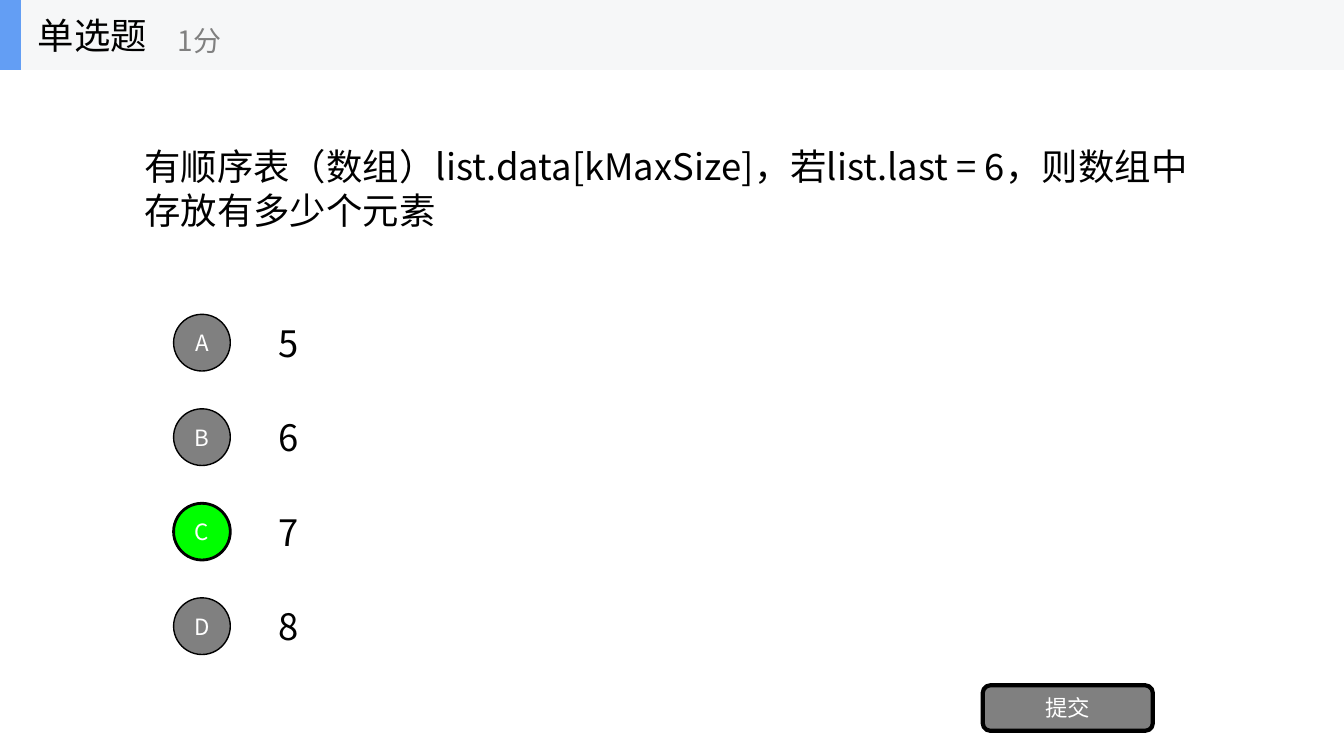
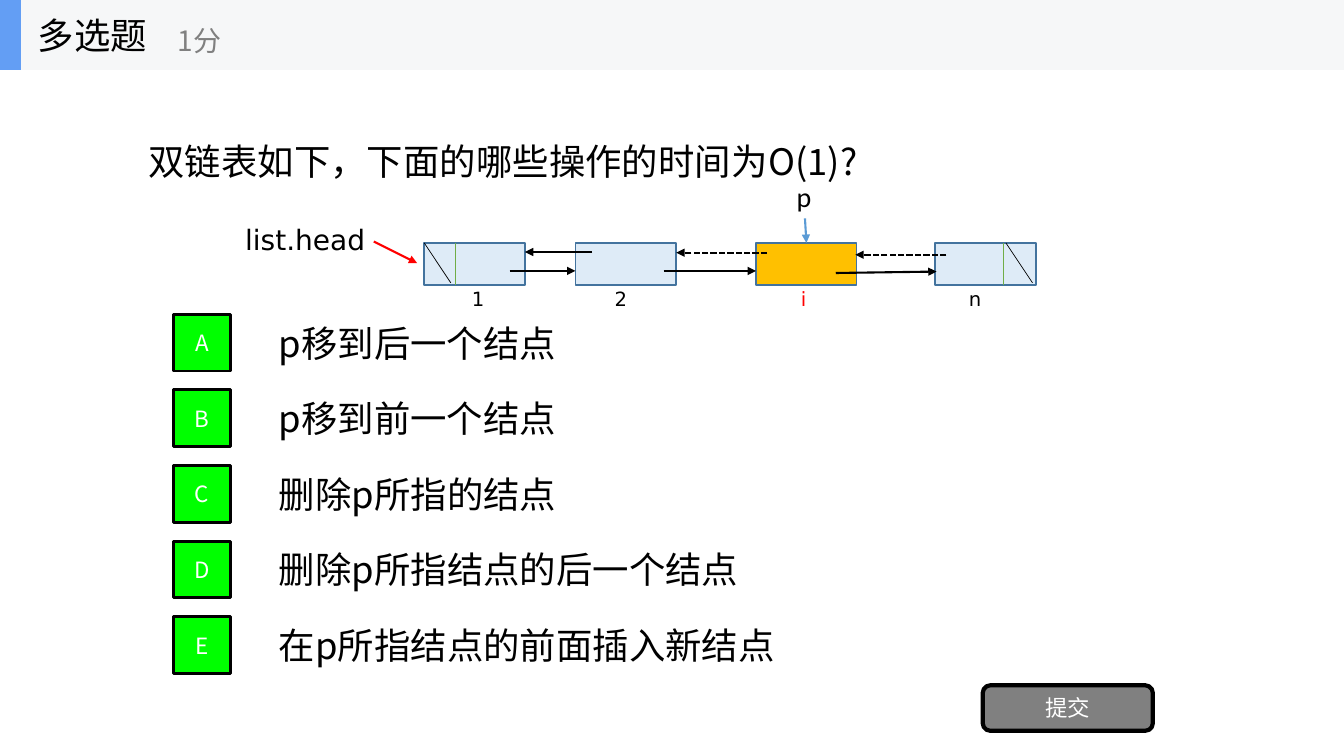
"""Build two quiz slides: a single-choice and a multiple-choice question."""
from lxml import etree
from pptx import Presentation
from pptx.dml.color import RGBColor
from pptx.enum.dml import MSO_LINE
from pptx.enum.shapes import MSO_CONNECTOR, MSO_SHAPE
from pptx.enum.text import MSO_ANCHOR, PP_ALIGN
from pptx.oxml.ns import qn
from pptx.util import Pt

RECT = MSO_SHAPE.RECTANGLE
ROUNDED = MSO_SHAPE.ROUNDED_RECTANGLE
OVAL = MSO_SHAPE.OVAL
STRAIGHT = MSO_CONNECTOR.STRAIGHT
DASHED = MSO_LINE.SQUARE_DOT
TOP, MIDDLE = MSO_ANCHOR.TOP, MSO_ANCHOR.MIDDLE
LEFT, CENTER = PP_ALIGN.LEFT, PP_ALIGN.CENTER

BLACK, WHITE, GRAY, RED = "000000", "FFFFFF", "808080", "FF0000"
CORRECT, BAND, ACCENT = "00FF00", "F6F7F8", "639EF4"
NODE, CURRENT, NODE_EDGE = "DEEBF7", "FFC000", "43739E"
DIVIDER, POINTER = "70AD47", "5B9BD5"
QUIZ_FONT, DIAGRAM_FONT, POINTER_FONT = "Noto Sans CJK SC", "DejaVu Sans", "Calibri"

SLIDE_W, SLIDE_H, BAND_H = 960, 540, 50
OPTIONS_TOP, OPTION_H, BADGE = 219.5, 50.5, 40.5
NODE_TOP, NODE_W, NODE_H = 173.5, 72, 30


def rgb(color):
    """Turn a hex string into a colour."""
    return RGBColor.from_string(color)


def write(shape, text, size, color, font=QUIZ_FONT, align=LEFT, anchor=MIDDLE):
    """Put one styled paragraph into a shape."""
    frame = shape.text_frame
    frame.word_wrap = True
    frame.vertical_anchor = anchor
    paragraph = frame.paragraphs[0]
    paragraph.text = text
    paragraph.alignment = align
    paragraph.font.size = Pt(size)
    paragraph.font.color.rgb = rgb(color)
    paragraph.font.name = font
    defaults = paragraph._p.pPr.find(qn("a:defRPr"))
    etree.SubElement(defaults, qn("a:ea"), typeface=font)


def add_text(slide, box, text, size, color=BLACK, **style):
    """Add a text box."""
    write(slide.shapes.add_textbox(*map(Pt, box)), text, size, color, **style)


def add_block(slide, kind, box, fill, edge=None, weight=1):
    """Add a filled preset shape with an optional outline."""
    block = slide.shapes.add_shape(kind, *map(Pt, box))
    block.shadow.inherit = False
    block.fill.solid()
    block.fill.fore_color.rgb = rgb(fill)
    if edge:
        block.line.color.rgb = rgb(edge)
        block.line.width = Pt(weight)
    else:
        block.line.fill.background()
    return block


def add_line(slide, start, end, color=BLACK, weight=0.5, dash=None):
    """Add a straight line without a shadow."""
    line = slide.shapes.add_connector(STRAIGHT, *map(Pt, start + end))
    line.line.color.rgb = rgb(color)
    line.line.width = Pt(weight)
    if dash:
        line.line.dash_style = dash
    etree.SubElement(line._element.spPr, qn("a:effectLst"))
    return line


def add_arrow(slide, start, end, color=BLACK, dash=None):
    """Add a line with a triangle at its end."""
    arrow = add_line(slide, start, end, color, 1.5, dash)
    etree.SubElement(arrow.line._get_or_add_ln(), qn("a:tailEnd"), type="triangle")
    return arrow


def add_header(slide, kind):
    """Add the top band with question kind and score."""
    add_block(slide, RECT, (0, 0, SLIDE_W, BAND_H), BAND)
    add_block(slide, RECT, (0, 0, 15, BAND_H), ACCENT)
    add_text(slide, (20, 0, 150, BAND_H), kind, 26)
    add_text(slide, (120, 9, 180, 40), "1分", 20, GRAY)


def add_options(slide, options, correct, badge_kind, pitch):
    """Add lettered answers, highlighting the correct ones."""
    for row, (letter, answer) in enumerate(zip("ABCDE", options)):
        top = OPTIONS_TOP + row * pitch
        add_text(slide, (192, top, 672, OPTION_H), answer, 26)
        fill, weight = (CORRECT, 2) if letter in correct else (GRAY, 1)
        badge_box = (124, top + (OPTION_H - BADGE) / 2, BADGE, BADGE)
        badge = add_block(slide, badge_kind, badge_box, fill, BLACK, weight)
        write(badge, letter, 16, WHITE, align=CENTER)


def add_question(prs, kind, question, question_box, options, correct, badge_kind, pitch):
    """Add a complete question slide."""
    slide = prs.slides.add_slide(prs.slide_layouts[6])
    add_header(slide, kind)
    add_text(slide, question_box, question, 26)
    add_options(slide, options, correct, badge_kind, pitch)
    submit = add_block(slide, ROUNDED, (702, 489.5, 121.5, 32.5), GRAY, BLACK, 3)
    write(submit, "提交", 16, WHITE, align=CENTER)
    return slide


def add_linked_list(slide):
    """Draw the doubly linked list."""
    nodes = [
        add_block(slide, RECT, (left, NODE_TOP, NODE_W, NODE_H), fill, NODE_EDGE)
        for left, fill in ((303, NODE), (411, NODE), (540, CURRENT), (668, NODE))
    ]
    for left, label, color in ((330, "1", BLACK), (432, "2", BLACK),
                               (565, "i", RED), (685, "n", BLACK)):
        add_text(slide, (left, 201.5, 42, 24.5), label, 14, color,
                 font=DIAGRAM_FONT, anchor=TOP)
    add_text(slide, (168, 155.5, 104, 31.5), "list.head", 20,
             font=DIAGRAM_FONT, anchor=TOP)
    add_text(slide, (562, 124.5, 42, 31.5), "p", 20, font=POINTER_FONT, anchor=TOP)

    for slash, divider in ((303, 325.5), (718.5, 717)):
        add_line(slide, (slash, NODE_TOP), (slash + 19, NODE_TOP + 28.5))
        add_line(slide, (divider, NODE_TOP), (divider, NODE_TOP + NODE_H), DIVIDER)

    for start, end in (((364, 193.5), (411, 193.5)),
                       ((474, 193.5), (540, 193.5)),
                       ((597, 195), (669, 194))):
        add_arrow(slide, start, end)
    for start, end, y, dash in ((423, 375, 180, None),
                                (548, 483, 180.5, DASHED),
                                (676, 611, 182, DASHED)):
        add_arrow(slide, (start, y), (end, y), dash=dash)

    add_arrow(slide, (267, 172.5), (298, 188), RED)
    pointer = add_arrow(slide, (575, 156), (576, NODE_TOP), POINTER)
    pointer.end_connect(nodes[2], 0)


def main():
    """Build and save the presentation."""
    prs = Presentation()
    prs.slide_width, prs.slide_height = Pt(SLIDE_W), Pt(SLIDE_H)
    add_question(
        prs, "单选题",
        "有顺序表（数组）list.data[kMaxSize]，若list.last = 6，则数组中存放有多少个元素",
        (96, 50, 768, 168.5), ("5", "6", "7", "8"), "C", OVAL, 67.5)
    linked_list = add_question(
        prs, "多选题", "双链表如下，下面的哪些操作的时间为O(1)?",
        (99, 14.5, 768, 201),
        ("p移到后一个结点", "p移到前一个结点", "删除p所指的结点",
         "删除p所指结点的后一个结点", "在p所指结点的前面插入新结点"),
        "ABCDE", RECT, 54)
    add_linked_list(linked_list)
    prs.save("out.pptx")


if __name__ == "__main__":
    main()
